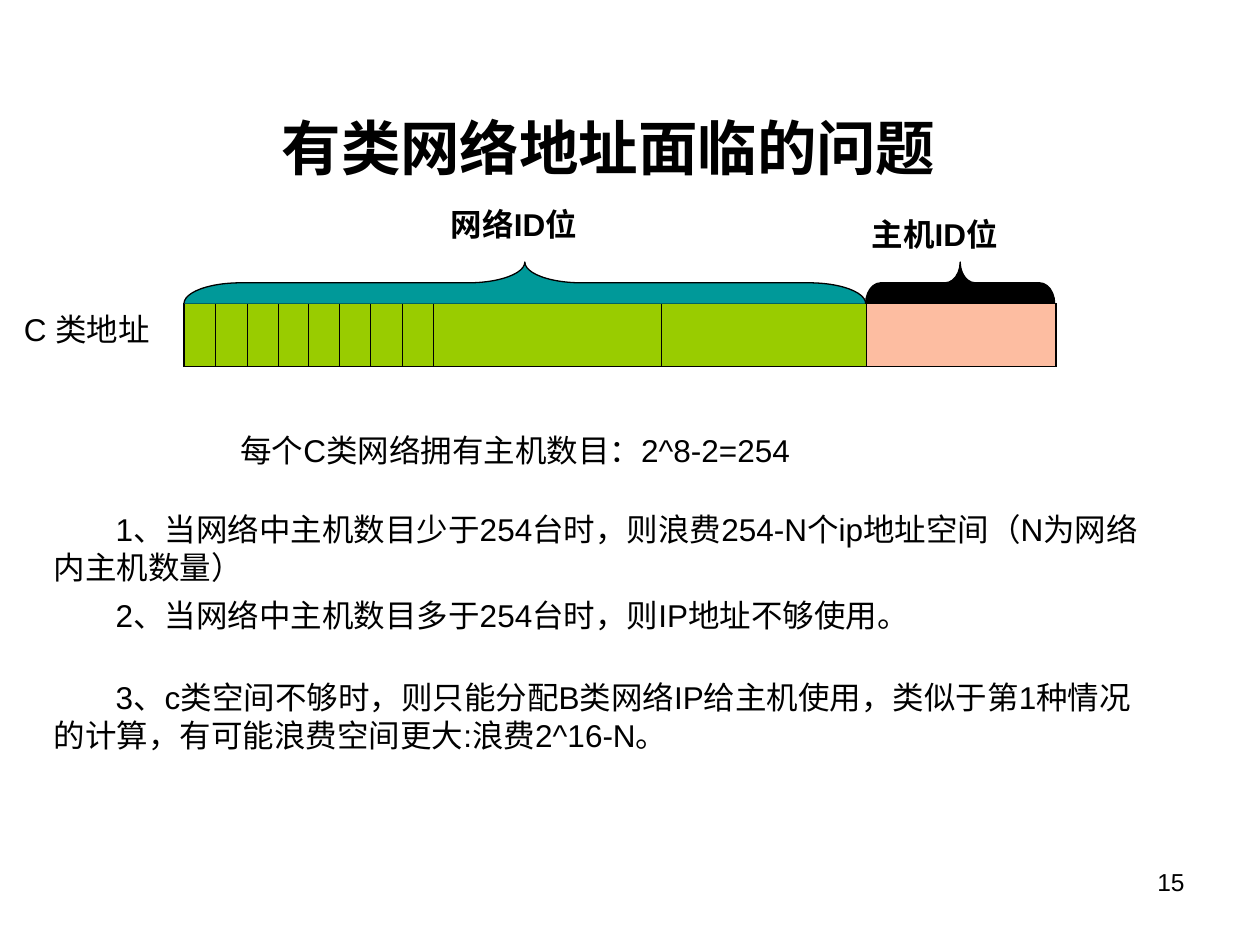
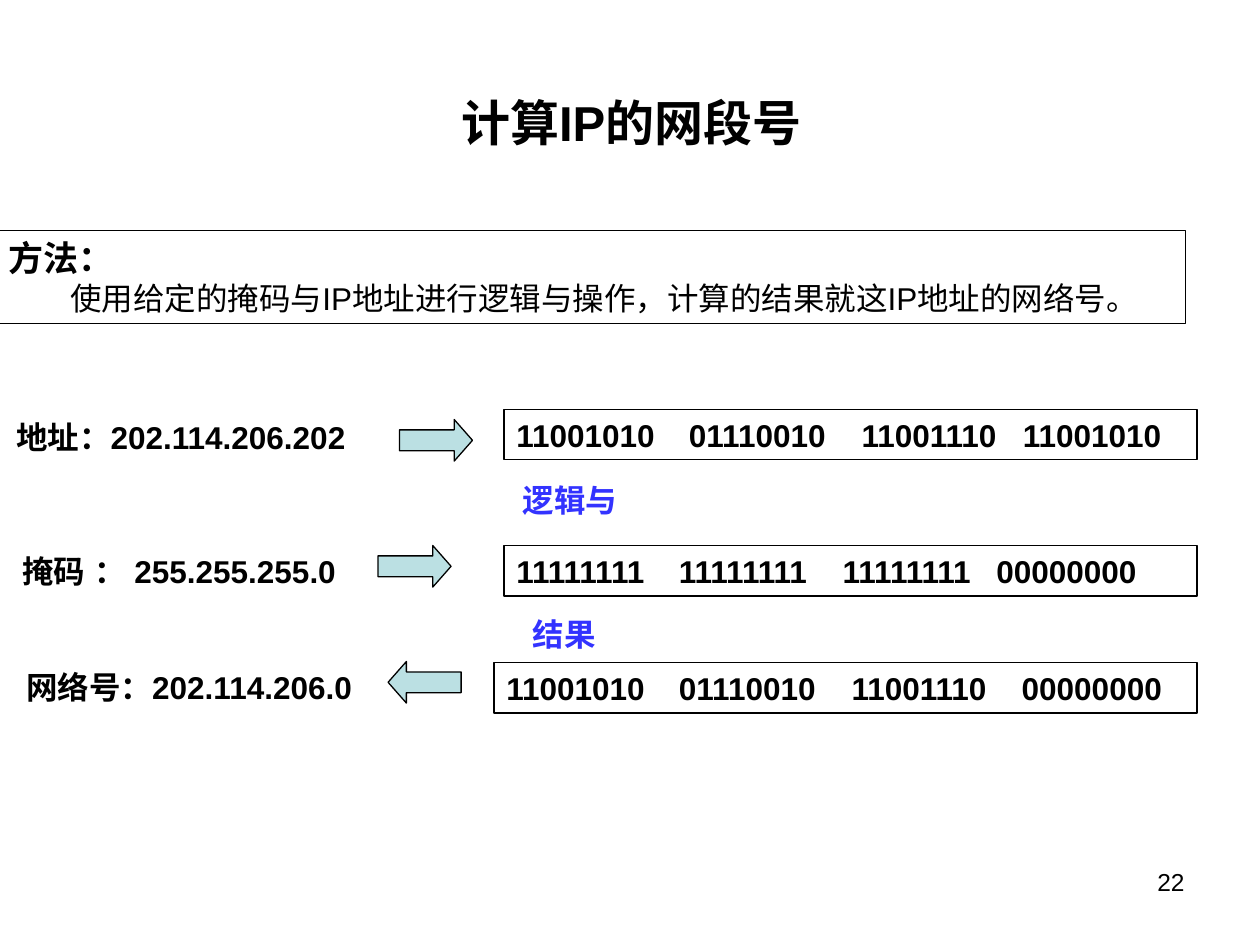
from lxml import etree
from pptx import Presentation
from pptx.dml.color import RGBColor
from pptx.enum import shapes, text
from pptx.oxml import ns
from pptx.util import Inches, Pt

BLACK, WHITE = "000000", "FFFFFF"
GREEN, PEACH, TEAL = "99CC00", "FDBDA1", "009999"
PALE_BLUE, BLUE = "BBE0E3", "3333FF"
FONT = "Arial"
BODY = {"size": Pt(18), "bold": False}
STRONG = {"size": Pt(18), "bold": True}
INDENT = 0.49
LEFT, CENTER, RIGHT = (text.PP_ALIGN.LEFT, text.PP_ALIGN.CENTER,
                       text.PP_ALIGN.RIGHT)


def colour(value):
    return RGBColor.from_string(value)


def add_child(parent, tag, **attributes):
    return etree.SubElement(parent, ns.qn(tag), attributes)


# Text
def write_para(para, words, style, ink=BLACK, align=LEFT, indent=0, tabs=()):
    para.alignment = align
    props = para._p.get_or_add_pPr()
    if indent:
        props.set("indent", str(Inches(indent)))
    if tabs:
        stops = add_child(props, "a:tabLst")
        for stop in tabs:
            add_child(stops, "a:tab", pos=str(Inches(stop)), algn="l")
    span = para.add_run()
    span.text = words
    for name, value in {"name": FONT, **style}.items():
        setattr(span.font, name, value)
    span.font.color.rgb = colour(ink)
    # East Asian letters use the same font
    add_child(span._r.get_or_add_rPr(), "a:ea", typeface=FONT)


def prepare_frame(frame, anchor=text.MSO_ANCHOR.TOP):
    frame.word_wrap = True
    frame.vertical_anchor = anchor
    return frame


def add_text(page, place, words, style=BODY, anchor=text.MSO_ANCHOR.TOP,
             **options):
    box = page.shapes.add_textbox(*map(Inches, place))
    frame = prepare_frame(box.text_frame, anchor)
    write_para(frame.paragraphs[0], words, style, **options)


def add_title(page, place, words, size):
    add_text(page, place, words, {"size": Pt(size), "bold": True},
             text.MSO_ANCHOR.MIDDLE, align=CENTER)


def add_page_number(page, number):
    add_text(page, (7.17, 6.83, 2.33, 0.52), str(number),
             {"size": Pt(14)}, align=RIGHT)


# Shapes
def add_outlined(page, kind, place, fill=None, turn=0, adjust=()):
    shape = page.shapes.add_shape(kind, *map(Inches, place))
    shape.shadow.inherit = False
    shape.rotation = turn
    shape.line.color.rgb = colour(BLACK)
    shape.line.width = Pt(0.75)
    if fill:
        shape.fill.solid()
        shape.fill.fore_color.rgb = colour(fill)
    else:
        shape.fill.background()
    for index, value in enumerate(adjust):
        shape.adjustments[index] = value
    return shape


def add_brace(page, left, width, curve, fill):
    """A brace that points up, standing on the address bar."""
    depth, middle = 0.33, 2.245
    place = (left + (width - depth) / 2, middle - width / 2, depth, width)
    add_outlined(page, shapes.MSO_SHAPE.LEFT_BRACE, place, fill, 90,
                 (curve / depth, 0.5))


def add_arrow(page, left, top, turn=0):
    add_outlined(page, shapes.MSO_SHAPE.RIGHT_ARROW, (left, top, 0.58, 0.33),
                 PALE_BLUE, turn, (0.5, 0.44))


def add_octets(page, left, top, octets, tabs):
    place = (left, top, 9.5 - left, 0.4)
    box = add_outlined(page, shapes.MSO_SHAPE.RECTANGLE, place)
    frame = prepare_frame(box.text_frame)
    write_para(frame.paragraphs[0], "\t".join(octets.split()), STRONG,
               tabs=tabs)


# Address bar
def set_border(cell, side, width):
    line = add_child(cell._tc.get_or_add_tcPr(), "a:" + side,
                     w=str(Pt(width)))
    fill = add_child(line, "a:solidFill")
    add_child(fill, "a:srgbClr", val=BLACK)


def add_address_bar(page, widths, fills):
    place = (1.46, 2.41, sum(widths), 0.5)
    table = page.shapes.add_table(1, len(widths),
                                  *map(Inches, place)).table
    table.first_row = table.horz_banding = False
    thin, thick = 0.45, 1.08
    last = len(widths) - 1
    for index, (width, fill) in enumerate(zip(widths, fills)):
        table.columns[index].width = Inches(width)
        cell = table.cell(0, index)
        borders = {"lnL": thin if index else thick,
                   "lnR": thin if index < last else thick,
                   "lnT": thick, "lnB": thick}
        for side, weight in borders.items():
            set_border(cell, side, weight)
        cell.fill.solid()
        cell.fill.fore_color.rgb = colour(fill)


# Slides
def build_class_problem(page):
    add_title(page, (0.33, 0.83, 9, 0.67), "有类网络地址面临的问题", 34)
    widths = [0.25] * 3 + [0.24] * 2 + [0.25] * 3 + [1.81, 1.63, 1.5]
    add_address_bar(page, widths, [GREEN] * 10 + [PEACH])
    add_brace(page, 1.46, 5.41, 0.45, TEAL)
    add_brace(page, 6.87, 1.5, 0.12, BLACK)

    for left, top, width, words, style in (
            (3.48, 1.58, 1.6, "网络ID位", STRONG),
            (6.82, 1.66, 1.6, "主机ID位", STRONG),
            (0.09, 2.41, 1.35, "C 类地址", BODY),
            (1.81, 3.37, 5.2, "每个C类网络拥有主机数目：2^8-2=254", BODY)):
        add_text(page, (left, top, width, 0.4), words, style)

    for top, height, words in (
            (4, 0.7, "1、当网络中主机数目少于254台时，则浪费254-N个ip地址空间"
                     "（N为网络内主机数量）"),
            (4.68, 0.4, "2、当网络中主机数目多于254台时，则IP地址不够使用。"),
            (5.33, 0.7, "3、c类空间不够时，则只能分配B类网络IP给主机使用，"
                        "类似于第1种情况的计算，有可能浪费空间更大:浪费2^16-N。")):
        add_text(page, (0.33, top, 8.92, height), words, indent=INDENT)
    add_page_number(page, 15)


def build_network_number(page):
    add_title(page, (0.51, 0.68, 9, 0.58), "计算IP的网段号", 28)

    # Method
    method = add_outlined(page, shapes.MSO_SHAPE.RECTANGLE,
                          (-0.03, 1.83, 9.44, 0.74))
    frame = prepare_frame(method.text_frame)
    write_para(frame.paragraphs[0], "方法：", {"size": Pt(20), "bold": True})
    write_para(frame.add_paragraph(),
               "使用给定的掩码与IP地址进行逻辑与操作，"
               "计算的结果就这IP地址的网络号。", BODY, indent=INDENT)

    # Address, mask and network number
    for left, top, words in ((0.03, 3.27, "地址：202.114.206.202"),
                             (0.08, 4.33, "掩码 ： 255.255.255.0"),
                             (0.11, 5.25, "网络号：202.114.206.0")):
        add_text(page, (left, top, 3.1, 0.4), words, STRONG)
    for left, top, octets, tabs in (
            (4, 3.25, "11001010 01110010 11001110 11001010",
             (1.37, 2.74, 4.02)),
            (4, 4.33, "11111111 11111111 11111111 00000000",
             (1.29, 2.59, 3.81)),
            (3.92, 5.26, "11001010 01110010 11001110 00000000",
             (1.37, 2.74, 4.09))):
        add_octets(page, left, top, octets, tabs)
    for left, top, turn in ((3.17, 3.33, 0), (3, 4.33, 0), (3.08, 5.25, 180)):
        add_arrow(page, left, top, turn)
    for left, top, words in ((4.05, 3.77, "逻辑与"), (4.13, 4.83, "结果")):
        add_text(page, (left, top, 1.1, 0.4), words, STRONG, ink=BLUE)
    add_page_number(page, 22)


def main():
    deck = Presentation()
    deck.slide_width, deck.slide_height = Inches(10), Inches(7.5)
    for build in (build_class_problem, build_network_number):
        page = deck.slides.add_slide(deck.slide_layouts[6])
        page.background.fill.solid()
        page.background.fill.fore_color.rgb = colour(WHITE)
        build(page)
    deck.save("out.pptx")


if __name__ == "__main__":
    main()
